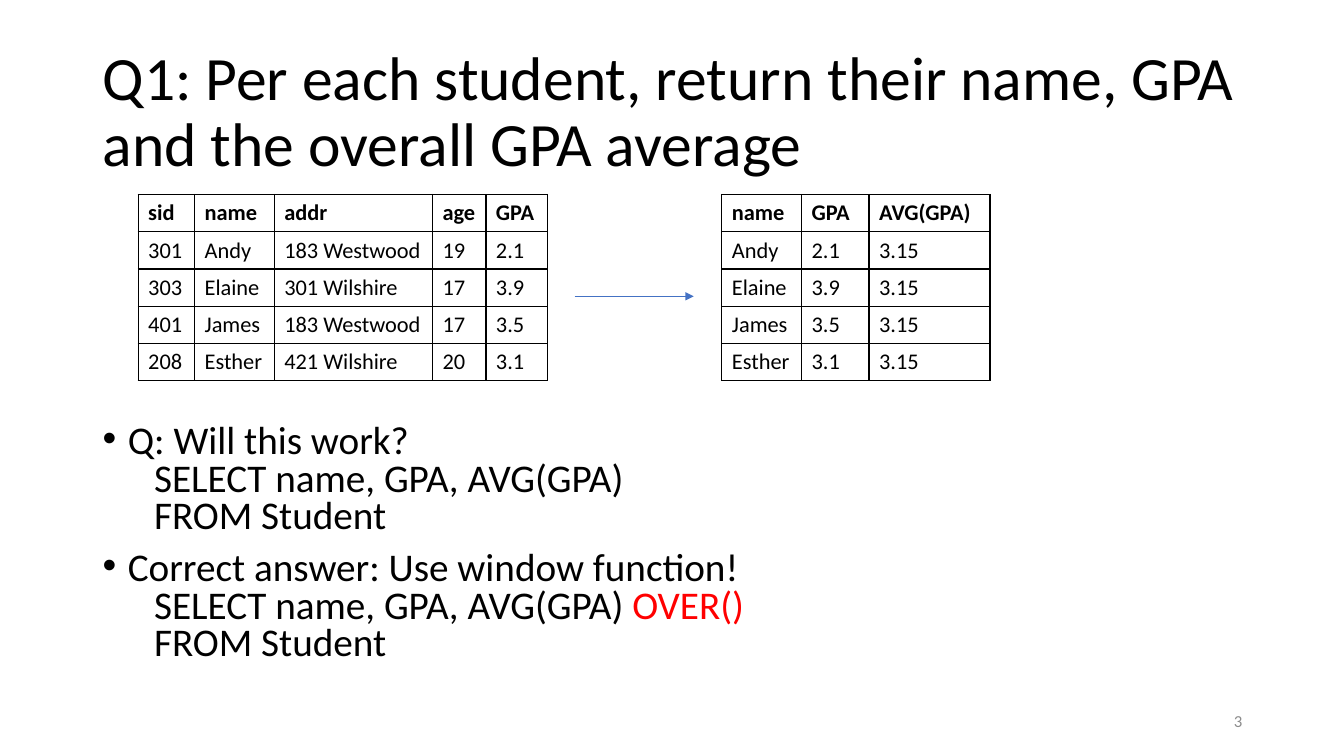
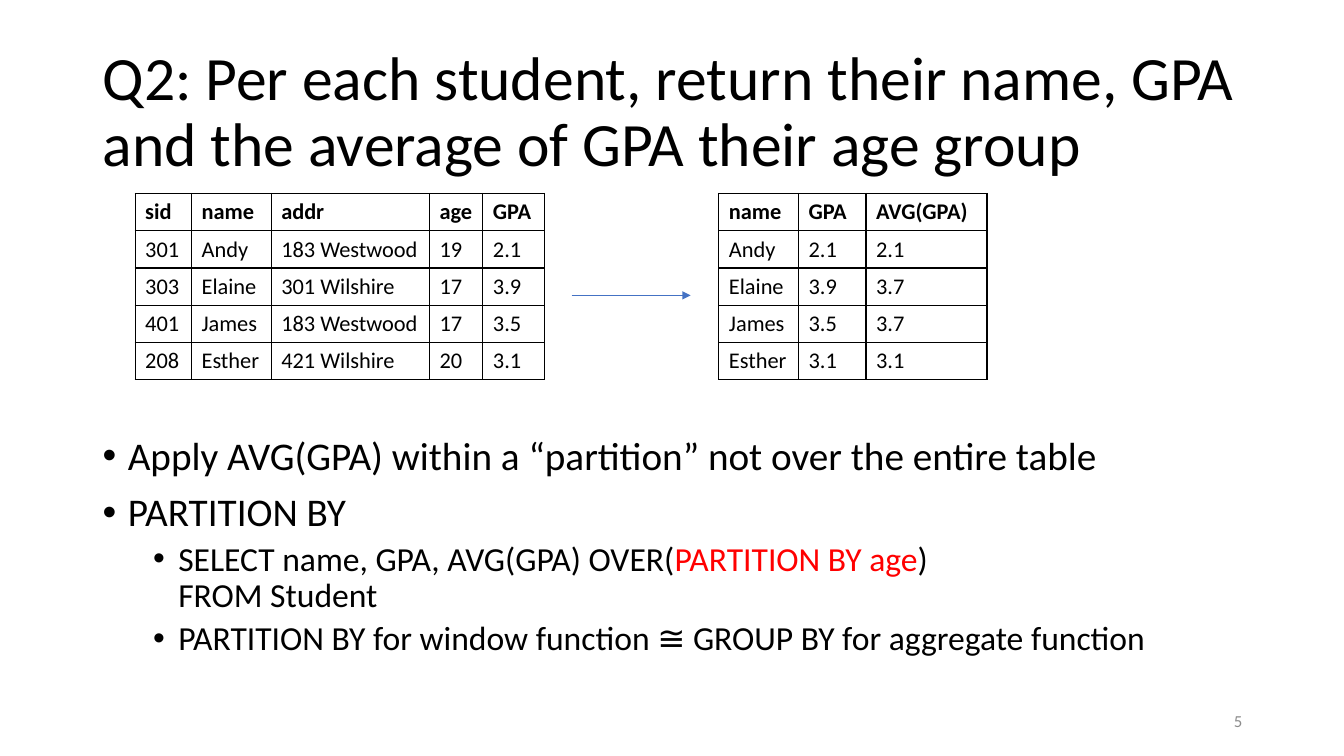
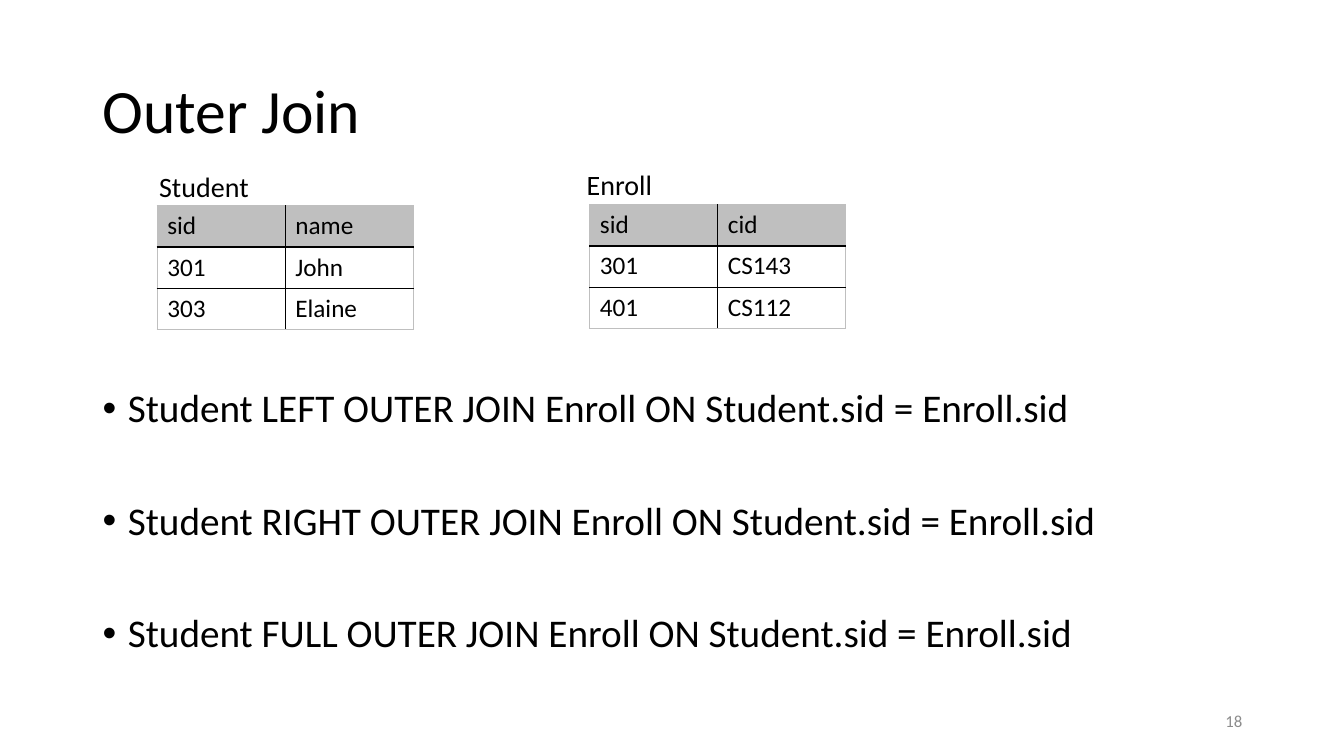
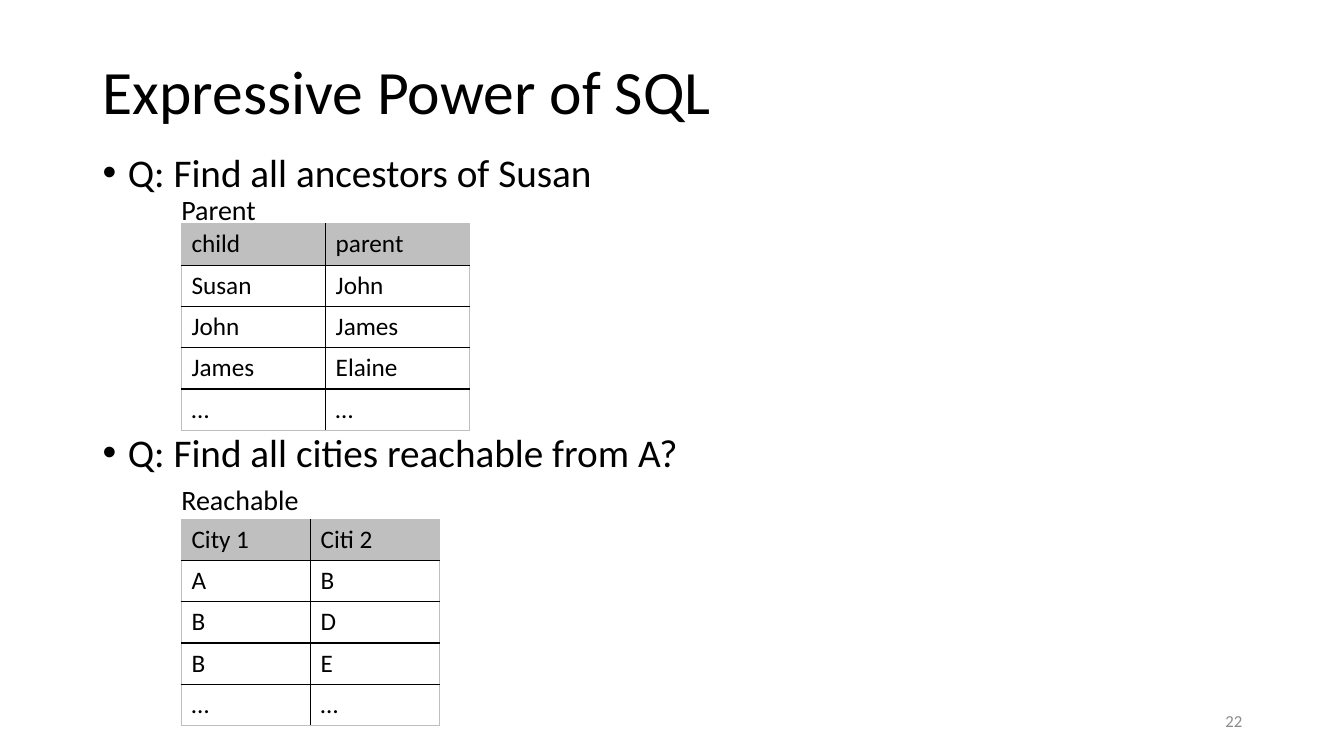
import pptx
import pptx.util
import pptx.dml.color
import pptx.enum.text
import pptx.enum.shapes
import pptx.oxml.ns
import lxml.etree

Inches, Pt = pptx.util.Inches, pptx.util.Pt
ALIGN, ANCHOR = pptx.enum.text.PP_ALIGN, pptx.enum.text.MSO_ANCHOR
qn = pptx.oxml.ns.qn

# Shared style
FONT = "Calibri"
BLACK, RED, BLUE = "000000", "FF0000", "4472C4"
GREY, PAGE_GREY = "BFBFBF", "8C8C8C"
LEFT, WIDTH = 0.92, 11.5

# Table styles
PLAIN = dict(size=16, row_h=0.37, bold_head=True, head_fill=None, edge=BLACK)
SHADED = dict(size=18, row_h=0.41, bold_head=False, head_fill=GREY, edge=GREY)

# Content
STUDENTS = [
    ("sid", "name", "addr", "age", "GPA"),
    ("301", "Andy", "183 Westwood", "19", "2.1"),
    ("303", "Elaine", "301 Wilshire", "17", "3.9"),
    ("401", "James", "183 Westwood", "17", "3.5"),
    ("208", "Esther", "421 Wilshire", "20", "3.1"),
]
STUDENT_COLS = [0.56, 0.79, 1.57, 0.53, 0.61]
RESULT_COLS = [0.79, 0.67, 1.2]


def result_rows(averages):
    """Name and GPA of each student, with the given averages."""
    rows = [(name, gpa, avg) for (_, name, _, _, gpa), avg
            in zip(STUDENTS[1:], averages)]
    return [("name", "GPA", "AVG(GPA)")] + rows


# Body lines: runs (text or (text, colour)), then paragraph format
CODE = dict(indent=0.51, before=0)
SUB = dict(size=24, indent=0.75, bullet=True, before=5)
SUB_CODE = dict(size=24, indent=0.75, before=0)

SLIDES = [
    dict(
        number=3,
        title="Q1: Per each student, return their name, GPA and the overall GPA average",
        body=dict(top=2, height=4.76, inset=2.21, spacing=0.8, lines=[
            (["Q: Will this work?"], {}),
            (["SELECT name, GPA, AVG(GPA)"], CODE),
            (["FROM Student"], CODE),
            (["Correct answer: Use window function!"], {}),
            (["SELECT name, GPA, AVG(GPA) ", ("OVER()", RED)], CODE),
            (["FROM Student"], CODE),
        ]),
        query=(1.37, 1.93, ["3.15"] * 4),
    ),
    dict(
        number=5,
        title="Q2: Per each student, return their name, GPA and the average of GPA their age group",
        body=dict(top=2, height=4.76, inset=2.33, lines=[
            (["Apply AVG(GPA) within a “partition” not over the entire table"], {}),
            (["PARTITION BY"], {}),
            (["SELECT name, GPA, AVG(GPA) OVER(", ("PARTITION BY age", RED), ")"], SUB),
            (["FROM Student"], SUB_CODE),
            (["PARTITION BY for window function ≅ GROUP BY for aggregate function"], SUB),
        ]),
        query=(1.34, 1.92, ["2.1", "3.7", "3.7", "3.1"]),
    ),
    dict(
        number=18,
        title="Outer Join",
        body=dict(top=3.81, height=3.51, lines=[
            ([f"Student {side} OUTER JOIN Enroll ON Student.sid = Enroll.sid"],
             dict(before=50)) for side in ("LEFT", "RIGHT", "FULL")
        ]),
        tables=[
            (1.56, 2.04, [1.27] * 2,
             [("sid", "name"), ("301", "John"), ("303", "Elaine")]),
            (5.85, 2.03, [1.27] * 2,
             [("sid", "cid"), ("301", "CS143"), ("401", "CS112")]),
        ],
        labels=[("Student", 1.48, 1.63), ("Enroll", 5.72, 1.61)],
    ),
    dict(
        number=22,
        title="Expressive Power of SQL",
        title_h=1.07,
        body=dict(top=1.47, height=5.28, lines=[
            (["Q: Find all ancestors of Susan"], {}),
            (["Q: Find all cities reachable from A?"], dict(before=170)),
        ]),
        tables=[
            (1.8, 2.22, [1.43] * 2,
             [("child", "parent"), ("Susan", "John"), ("John", "James"),
              ("James", "Elaine"), ("…", "…")]),
            (1.8, 5.15, [1.28] * 2,
             [("City 1", "Citi 2"), ("A", "B"), ("B", "D"), ("B", "E"),
              ("…", "…")]),
        ],
        labels=[("Parent", 1.7, 1.86), ("Reachable", 1.7, 4.74)],
    ),
]


def rgb(color):
    return pptx.dml.color.RGBColor.from_string(color)


def write(p, runs, size=28, color=BLACK, bold=False, align=None,
          spacing=None, before=None, indent=None, bullet=False):
    """Fill a paragraph with runs and format it."""
    for run in [runs] if isinstance(runs, str) else runs:
        text, run_color = (run, color) if isinstance(run, str) else run
        r = p.add_run()
        r.text = text
        r.font.name, r.font.size, r.font.bold = FONT, Pt(size), bold
        r.font.color.rgb = rgb(run_color)
    p.alignment = align
    if spacing is not None:
        p.line_spacing = spacing
    if before is not None:
        p.space_before = Pt(before)
    if indent is not None:
        pPr = p._p.get_or_add_pPr()
        pPr.set("marL", str(Inches(indent)))
        pPr.set("indent", str(Inches(-0.25 if bullet else 0)))
        if bullet:
            lxml.etree.SubElement(pPr, qn("a:buFont"), typeface="Arial")
            lxml.etree.SubElement(pPr, qn("a:buChar"), char="•")


def add_box(s, left, top, width, height, anchor=ANCHOR.TOP):
    tf = s.shapes.add_textbox(Inches(left), Inches(top),
                              Inches(width), Inches(height)).text_frame
    tf.word_wrap = True
    tf.vertical_anchor = anchor
    return tf


def add_body(s, top, height, lines, inset=0.05, spacing=0.9):
    tf = add_box(s, LEFT, top, WIDTH, height)
    tf.margin_top = Inches(inset)
    for i, (runs, fmt) in enumerate(lines):
        p = tf.add_paragraph() if i else tf.paragraphs[0]
        fmt = fmt if "indent" in fmt else dict(dict(indent=0.25, bullet=True, before=10), **fmt)
        write(p, runs, spacing=spacing, **fmt)


def set_border(cell, side, color):
    ln = lxml.etree.SubElement(cell._tc.get_or_add_tcPr(), qn("a:ln" + side),
                               w=str(Pt(1)))
    fill = lxml.etree.SubElement(ln, qn("a:solidFill"))
    lxml.etree.SubElement(fill, qn("a:srgbClr"), val=color)


def add_table(s, left, top, cols, rows, size, row_h, bold_head, head_fill, edge):
    table = s.shapes.add_table(
        len(rows), len(cols), Inches(left), Inches(top),
        Inches(sum(cols)), Inches(row_h * len(rows))).table
    table.first_row = table.horz_banding = False
    for column, width in zip(table.columns, cols):
        column.width = Inches(width)
    for i, row in enumerate(rows):
        table.rows[i].height = Inches(row_h)
        for j, text in enumerate(row):
            cell = table.cell(i, j)
            write(cell.text_frame.paragraphs[0], text, size=size,
                  bold=bold_head and i == 0)
            outer = dict(L=j == 0, R=j == len(cols) - 1,
                         T=i == 0, B=i == len(rows) - 1)
            for side, is_edge in outer.items():
                set_border(cell, side, edge if is_edge else BLACK)
            if head_fill and i == 0:
                cell.fill.solid()
                cell.fill.fore_color.rgb = rgb(head_fill)
            else:
                cell.fill.background()


def add_arrow(s, left, y, length):
    line = s.shapes.add_connector(
        pptx.enum.shapes.MSO_CONNECTOR.STRAIGHT,
        Inches(left), Inches(y), Inches(left + length), Inches(y))
    line.line.color.rgb = rgb(BLUE)
    line.line.width = Pt(0.5)
    lxml.etree.SubElement(line.line._get_or_add_ln(), qn("a:tailEnd"), type="triangle")
    lxml.etree.SubElement(line._element.spPr, qn("a:effectLst"))


def add_query(s, left, top, averages):
    """Student table, arrow and result table."""
    add_table(s, left, top, STUDENT_COLS, STUDENTS, **PLAIN)
    add_table(s, left + 5.79, top, RESULT_COLS, result_rows(averages), **PLAIN)
    add_arrow(s, left + 4.33, top + 1.01, 1.18)


def build_slide(prs, data):
    s = prs.slides.add_slide(prs.slide_layouts[6])
    # Title
    tf = add_box(s, LEFT, 0.4, WIDTH, data.get("title_h", 1.45), ANCHOR.MIDDLE)
    write(tf.paragraphs[0], data["title"], size=44, spacing=0.9)
    # Body and tables
    add_body(s, **data["body"])
    if "query" in data:
        add_query(s, *data["query"])
    for table in data.get("tables", []):
        add_table(s, *table, **SHADED)
    for text, left, top in data.get("labels", []):
        write(add_box(s, left, top, 1.76, 0.44).paragraphs[0], text, size=20)
    # Page number
    tf = add_box(s, 9.42, 6.95, 3, 0.4, ANCHOR.MIDDLE)
    write(tf.paragraphs[0], str(data["number"]), size=12, color=PAGE_GREY,
          align=ALIGN.RIGHT)


def main():
    prs = pptx.Presentation()
    prs.slide_width, prs.slide_height = Inches(13.33), Inches(7.5)
    for data in SLIDES:
        build_slide(prs, data)
    prs.save("out.pptx")


if __name__ == "__main__":
    main()
